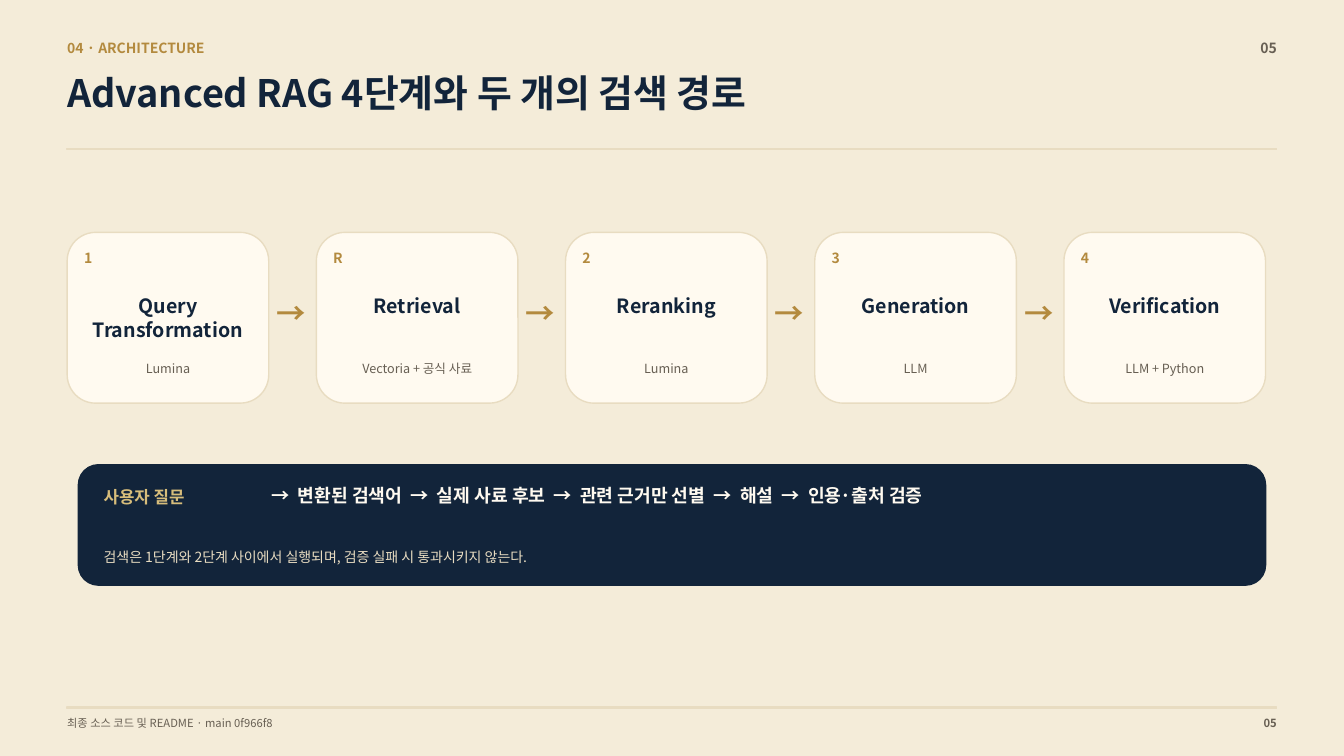
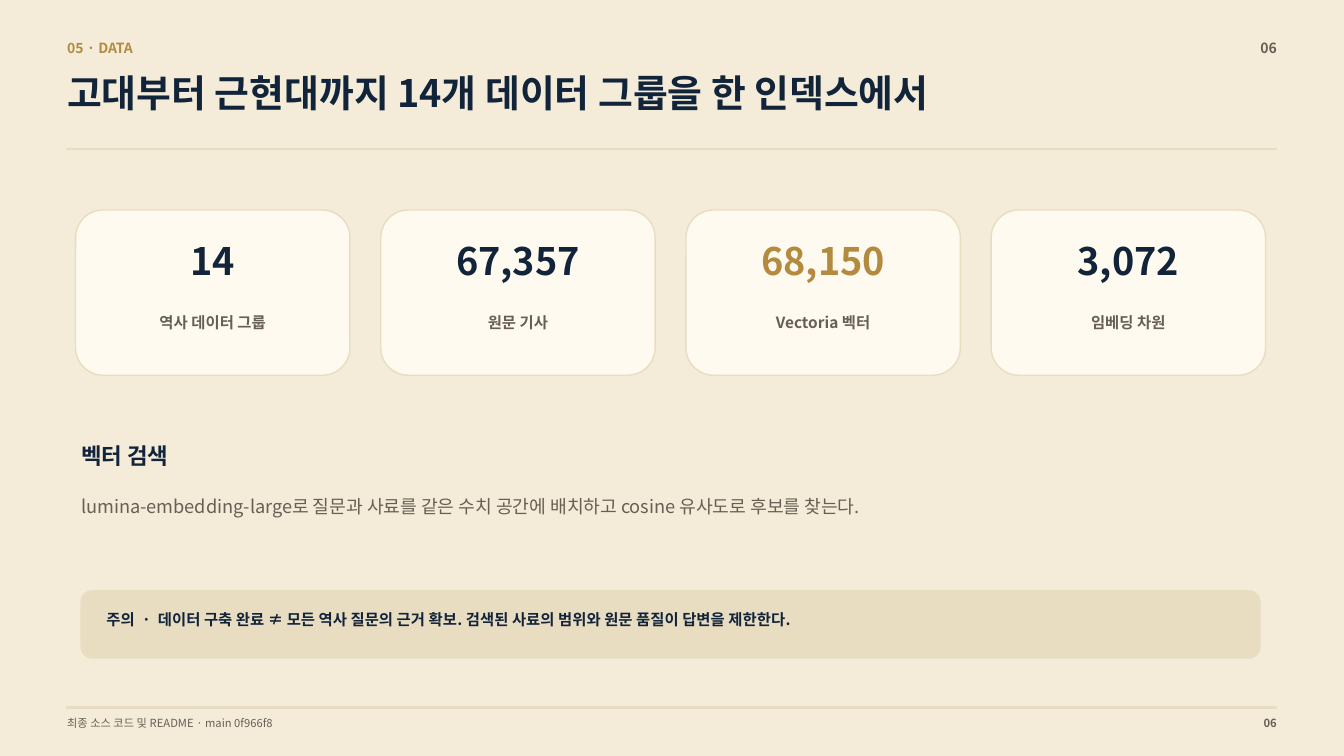
import pptx
import pptx.dml.color
import pptx.enum.shapes
import pptx.enum.text
import pptx.oxml.ns
import pptx.util
import lxml.etree

# Shared style
FONT = "Noto Sans CJK KR"
PAPER, CARD, SAND = "F4ECD9", "FFFAF0", "E8DCC1"
NAVY, GOLD, PALE_GOLD, GREY = "12243A", "B38A3E", "D7BD7B", "675F53"
FOOTER = "최종 소스 코드 및 README · main 0f966f8"

# Grid: 480 columns by 270 rows, 36 to the inch
CELL = pptx.util.Inches(1) // 36
COLUMNS, ROWS = 480, 270
MARGIN = 24
CONTENT = COLUMNS - 2 * MARGIN

ALIGN = pptx.enum.text.PP_ALIGN
SHAPE = pptx.enum.shapes.MSO_SHAPE


def colour(value):
    return pptx.dml.color.RGBColor.from_string(value)


class Deck:
    """Holds the presentation, its style and the current slide."""

    def __init__(self):
        self.presentation = pptx.Presentation()
        self.presentation.slide_width = COLUMNS * CELL
        self.presentation.slide_height = ROWS * CELL
        self.slide = None

    def place(self, *cells):
        return [round(cell * CELL) for cell in cells]

    def text(self, left, top, width, height, text, size, ink,
             bold=False, align=ALIGN.LEFT):
        box = self.slide.shapes.add_textbox(*self.place(left, top, width, height))
        frame = box.text_frame
        frame.word_wrap = True
        frame.margin_left = frame.margin_right = 0
        frame.margin_top = frame.margin_bottom = 0
        frame.text = text
        for paragraph in frame.paragraphs:
            paragraph.alignment = align
            font = paragraph.font
            font.name, font.size, font.bold = FONT, pptx.util.Pt(size), bold
            font.color.rgb = colour(ink)
            # Hangul takes the East Asian typeface
            defaults = paragraph._p.pPr.find(pptx.oxml.ns.qn("a:defRPr"))
            lxml.etree.SubElement(defaults, pptx.oxml.ns.qn("a:ea"), typeface=FONT)

    def block(self, left, top, width, height, fill, line=SAND,
              kind=SHAPE.ROUNDED_RECTANGLE):
        shape = self.slide.shapes.add_shape(
            kind, *self.place(left, top, width, height))
        shape.shadow.inherit = False
        shape.fill.solid()
        shape.fill.fore_color.rgb = colour(fill)
        shape.line.color.rgb = colour(line)
        shape.line.width = pptx.util.Pt(1)

    def rule(self, top):
        self.block(MARGIN, top, CONTENT, 0.5, SAND, kind=SHAPE.RECTANGLE)

    def page_number(self, top, height, number, size):
        self.text(COLUMNS - MARGIN - 17, top, 17, height, number, size, GREY,
                  True, ALIGN.RIGHT)

    def new_slide(self, number, section, title):
        self.slide = self.presentation.slides.add_slide(
            self.presentation.slide_layouts[6])
        background = self.slide.background.fill
        background.solid()
        background.fore_color.rgb = colour(PAPER)
        # Header
        self.text(MARGIN, 14, 160, 9, section, 10, GOLD, True)
        self.text(MARGIN, 25, 410, 23, title, 27, NAVY, True)
        self.rule(53)
        self.page_number(14, 9, number, 10)
        # Footer
        self.rule(252.5)
        self.text(MARGIN, 256, 360, 7, FOOTER, 8, GREY)
        self.page_number(256, 7, number, 8)

    def step(self, left, mark, name, tool):
        self.block(left, 83, 72, 61, CARD)
        self.text(left + 6, 89, 12, 10, mark, 10, GOLD, True)
        self.text(left + 6, 105, 60, 19, name, 14, NAVY, True, ALIGN.CENTER)
        self.text(left + 5, 129, 62, 9, tool, 9, GREY, align=ALIGN.CENTER)

    def arrow(self, left):
        self.text(left, 105.5, 14, 15, "→", 21, GOLD, True, ALIGN.CENTER)

    def figure(self, left, value, label, ink):
        self.block(left, 75, 98, 59, CARD)
        self.text(left + 6, 85, 86, 22, value, 27, ink, True, ALIGN.CENTER)
        self.text(left + 6, 112, 86, 10, label, 11, GREY, True, ALIGN.CENTER)


def architecture(deck):
    deck.new_slide("05", "04 · ARCHITECTURE", "Advanced RAG 4단계와 두 개의 검색 경로")

    # Pipeline steps, with an arrow between neighbours
    steps = [("1", "Query\nTransformation", "Lumina"),
             ("R", "Retrieval", "Vectoria + 공식 사료"),
             ("2", "Reranking", "Lumina"),
             ("3", "Generation", "LLM"),
             ("4", "Verification", "LLM + Python")]
    for index, step in enumerate(steps):
        left = MARGIN + 89 * index
        if index:
            deck.arrow(left - 16)
        deck.step(left, *step)

    # Path of a question
    deck.block(28, 166, 424, 43, NAVY, NAVY)
    deck.text(37, 174, 59, 11, "사용자 질문", 12, PALE_GOLD, True)
    deck.text(97, 173, 339, 21,
              "→  변환된 검색어  →  실제 사료 후보  →  관련 근거만 선별  →  해설  →  인용·출처 검증",
              13, CARD, True)
    deck.text(37, 196, 380, 9,
              "검색은 1단계와 2단계 사이에서 실행되며, 검증 실패 시 통과시키지 않는다.",
              10, SAND)


def data(deck):
    deck.new_slide("06", "05 · DATA", "고대부터 근현대까지 14개 데이터 그룹을 한 인덱스에서")

    # Key figures
    figures = [("14", "역사 데이터 그룹", NAVY),
               ("67,357", "원문 기사", NAVY),
               ("68,150", "Vectoria 벡터", GOLD),
               ("3,072", "임베딩 차원", NAVY)]
    for index, figure in enumerate(figures):
        deck.figure(27 + 109 * index, *figure)

    # Vector search
    deck.text(29, 158, 80, 12, "벡터 검색", 16, NAVY, True)
    deck.text(29, 177, 421, 21,
              "lumina-embedding-large로 질문과 사료를 같은 수치 공간에 배치하고 "
              "cosine 유사도로 후보를 찾는다.", 13, GREY)

    # Caution
    deck.block(29, 211, 421, 24, SAND)
    deck.text(38, 218, 400, 10,
              "주의  ·  데이터 구축 완료 ≠ 모든 역사 질문의 근거 확보. "
              "검색된 사료의 범위와 원문 품질이 답변을 제한한다.", 11, NAVY, True)


def main():
    deck = Deck()
    architecture(deck)
    data(deck)
    deck.presentation.save("out.pptx")


if __name__ == "__main__":
    main()
